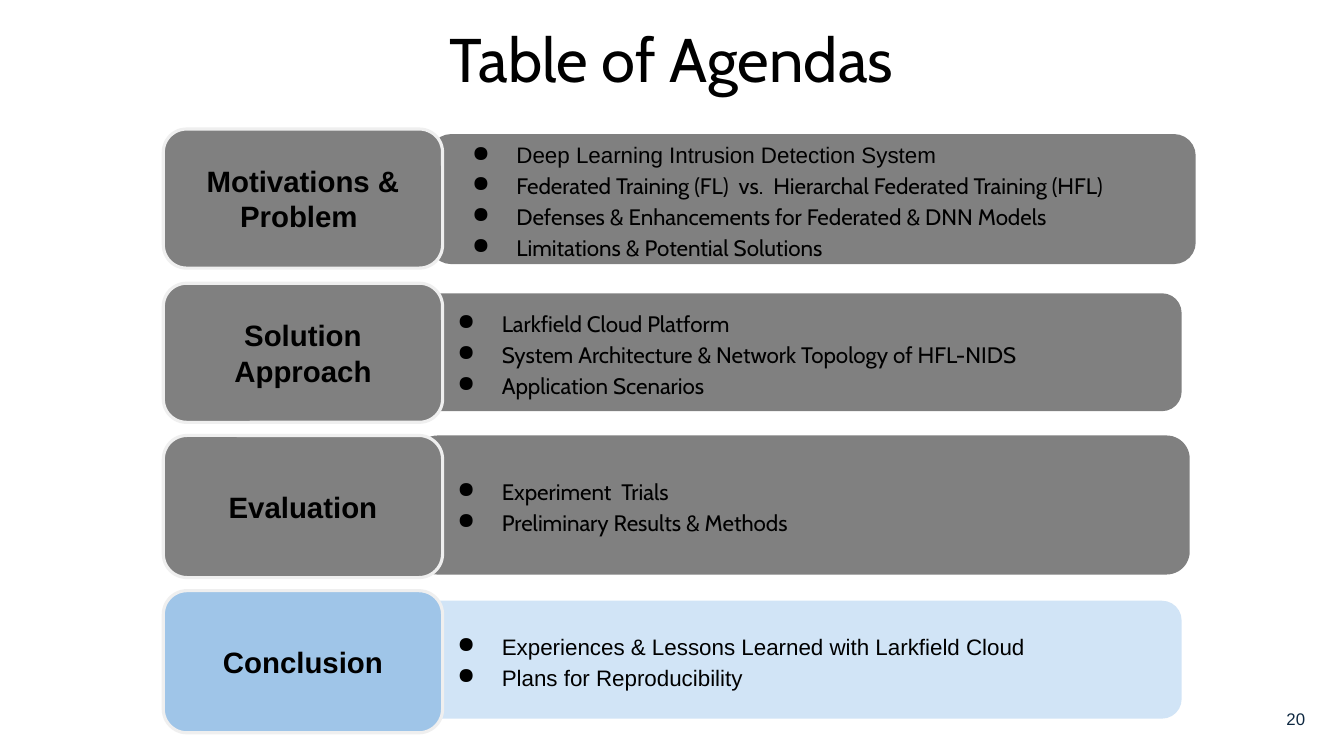
import pptx
import pptx.util
import pptx.dml.color
import pptx.enum.shapes
import pptx.enum.text
import pptx.oxml.ns
import lxml.etree

SCALE = 9144
PAD = 13
GREY = "808080"
BLACK = "000000"
ALIGN = pptx.enum.text.PP_ALIGN
ANCHOR = pptx.enum.text.MSO_ANCHOR

ROWS = [
    ("Motivations & Problem ", (128, 138), GREY, (426, 133, 760, 129), GREY, [
        ("Deep Learning Intrusion Detection System", "Arial"),
        ("Federated Training (FL)  vs.  Hierarchal Federated Training (HFL)", "Cabin"),
        ("Defenses & Enhancements for Federated & DNN Models", "Cabin"),
        ("Limitations & Potential Solutions", "Cabin"),
    ]),
    ("Solution Approach", (281, 138), GREY, (412, 291, 760, 117), GREY, [
        ("Larkfield Cloud Platform", "Cabin"),
        ("System Architecture & Network Topology of HFL-NIDS", "Cabin"),
        ("Application Scenarios", "Cabin"),
    ]),
    ("Evaluation", (432, 141), GREY, (411, 432, 769, 138), GREY, [
        ("Experiment  Trials", "Cabin"),
        ("Preliminary Results & Methods", "Cabin"),
    ]),
    ("Conclusion", (586, 141), "9FC5E8", (412, 596, 760, 117), "D1E4F6", [
        ("Experiences & Lessons Learned with Larkfield Cloud", "Arial"),
        ("Plans for Reproducibility", "Arial"),
    ]),
]


def px(n):
    return pptx.util.Emu(n * SCALE)


def hue(code):
    return pptx.dml.color.RGBColor.from_string(code)


def frame(shape, anchor):
    body = shape.text_frame
    body.word_wrap = True
    body.vertical_anchor = anchor
    body.margin_left = body.margin_right = px(PAD)
    body.margin_top = body.margin_bottom = px(PAD)
    return body


def write(para, text, font, size, color=BLACK, bold=False):
    run = para.add_run()
    run.text = text
    run.font.name = font
    run.font.size = pptx.util.Pt(size)
    run.font.bold = bold
    run.font.color.rgb = hue(color)


def dot(para):
    props = para._p.get_or_add_pPr()
    props.set("marL", str(px(67)))
    props.set("indent", str(px(-44)))
    tint = lxml.etree.SubElement(props, pptx.oxml.ns.qn("a:buClr"))
    lxml.etree.SubElement(tint, pptx.oxml.ns.qn("a:srgbClr"), val=BLACK)
    lxml.etree.SubElement(props, pptx.oxml.ns.qn("a:buChar"), char="●")


def card(slide, box, fill, edge=None):
    kind = pptx.enum.shapes.MSO_SHAPE.ROUNDED_RECTANGLE
    shape = slide.shapes.add_shape(kind, *map(px, box))
    shape.shadow.inherit = False
    shape.fill.solid()
    shape.fill.fore_color.rgb = hue(fill)
    if edge:
        shape.line.color.rgb = hue(edge)
        shape.line.width = pptx.util.Pt(2.25)
    else:
        shape.line.fill.background()
    return frame(shape, ANCHOR.MIDDLE)


def panel(slide, box, fill, items):
    body = card(slide, box, fill)
    for i, (text, font) in enumerate(items):
        para = body.add_paragraph() if i else body.paragraphs[0]
        para.alignment = ALIGN.LEFT
        para.line_spacing = 1.15
        dot(para)
        write(para, text, font, 16)


def label(slide, text, top, height, fill):
    para = card(slide, (162, top, 277, height), fill, "EFEFEF").paragraphs[0]
    para.alignment = ALIGN.CENTER
    write(para, text, "Arial", 21, bold=True)


def note(slide, box, text, font, size, color, align, anchor):
    shape = slide.shapes.add_textbox(*map(px, box))
    para = frame(shape, anchor).paragraphs[0]
    para.alignment = align
    write(para, text, font, size, color)


def main():
    deck = pptx.Presentation()
    deck.slide_width = px(1333)
    deck.slide_height = px(750)
    slide = deck.slides.add_slide(deck.slide_layouts[6])
    note(slide, (45, 8, 1242, 117), "Table of Agendas", "Cabin", 44, BLACK,
         ALIGN.CENTER, ANCHOR.TOP)
    for name, (top, height), fill, box, tone, items in ROWS:
        panel(slide, box, tone, items)
        label(slide, name, top, height, fill)
    note(slide, (1263, 685, 50, 57), "20", "Arial", 12, "0E2841",
         ALIGN.LEFT, ANCHOR.MIDDLE)
    deck.save("out.pptx")


if __name__ == "__main__":
    main()
